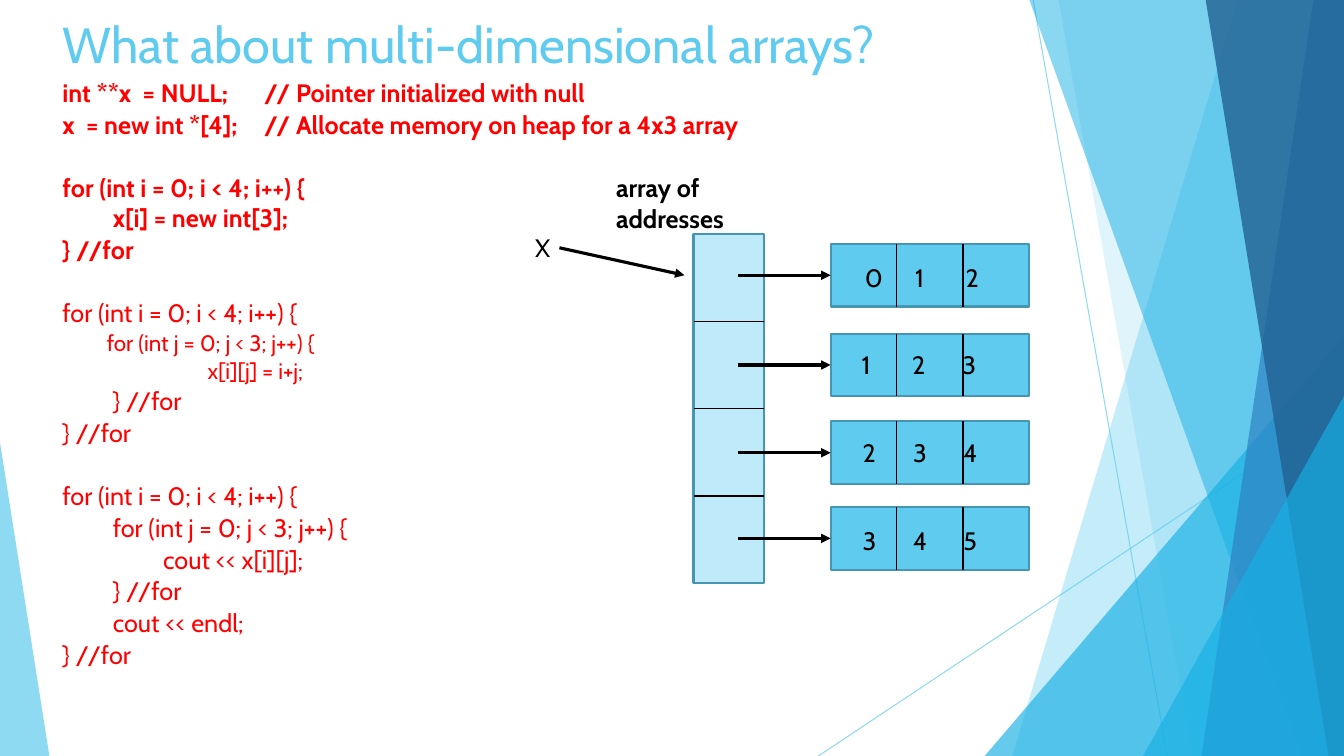
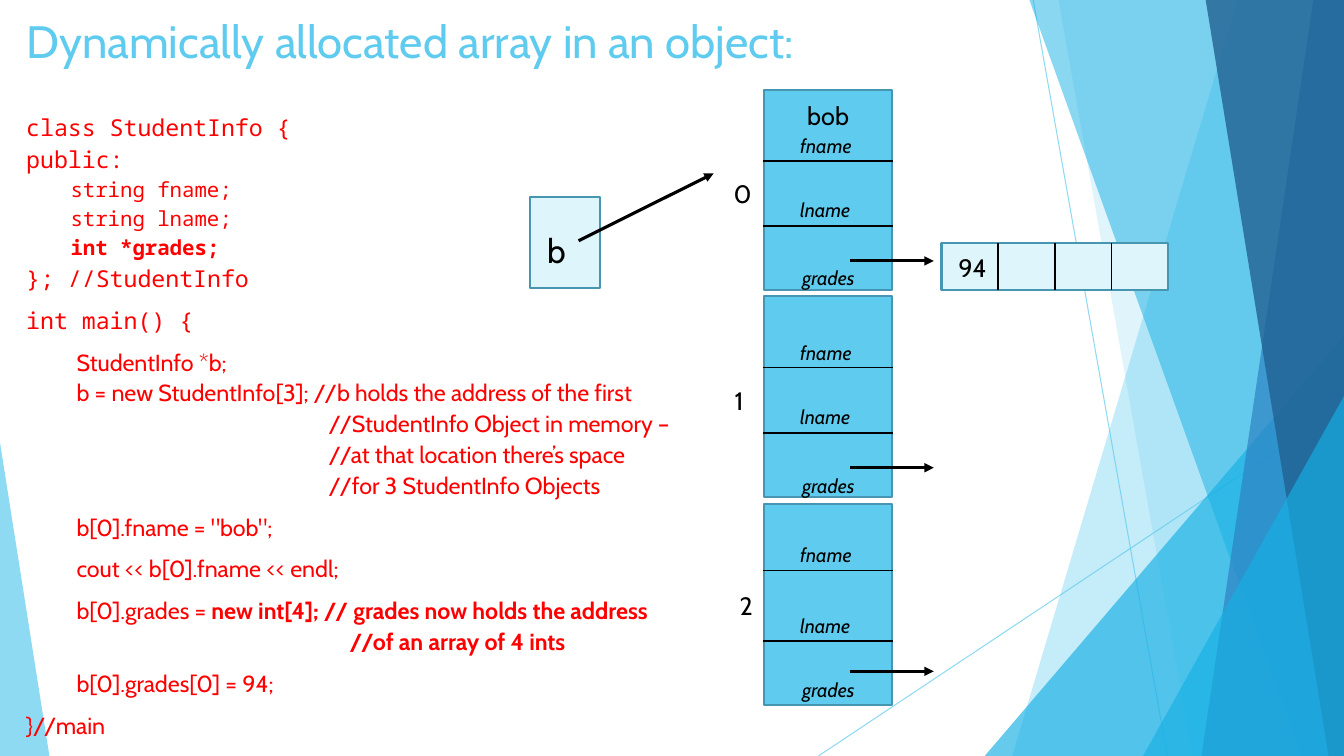
"""Build two slides on dynamically allocated arrays in C++."""
from lxml.etree import SubElement
from pptx import Presentation
from pptx.dml.color import RGBColor
from pptx.enum.shapes import MSO_CONNECTOR as Connector, MSO_SHAPE as Preset
from pptx.enum.text import MSO_ANCHOR as Anchor, MSO_AUTO_SIZE as AutoSize, PP_ALIGN as Align
from pptx.oxml.ns import qn
from pptx.util import Pt

WIDTH, HEIGHT = 960, 540
SKY, CYAN, BLUE, NAVY = "5FCBEF", "17B0E4", "2E83C3", "226292"
PALE, MIST, EDGE, BLACK, RED = "BFEAF9", "DFF5FC", "4696B1", "000000", "FF0000"
LABEL = {"name": "Cabin", "size": Pt(18), "color": BLACK}
FIELD = {**LABEL, "size": Pt(14), "italic": True}
TITLE = {"name": "Cabin", "color": SKY}
CODE = {"name": "Cabin", "size": Pt(18), "color": RED, "bold": False}
BOLD, SMALL = {"bold": True}, {"size": Pt(16)}
MONO = {"name": "Noto Sans Mono"}
MONO_SMALL = {**MONO, "size": Pt(14.8)}

RAYS = [((738, 0), (833.8, HEIGHT)), ((WIDTH, 290.2), (584.6, HEIGHT))]
FACETS = [
    ("band", (884.2, 723), SKY, 36),
    ("band", (756, 851.8), SKY, 20),
    ("triangle", (703.4, 239.8, 256.6, 300.2, 1), CYAN, 66),
    ("band", (735.1, 929.5), CYAN, 50),
    ("band", (938.2, 858.2), BLUE, 70),
    ("band", (861.1, 949), NAVY, 80),
    ("triangle", (816.5, 283, 143.5, 257, 1), CYAN, 66),
    ("triangle", (0, 316.1, 35.3, 223.9, 0), SKY, 70),
]

NEXT, GAP, INDENT = 1, 23.6, 31.7
LOOP_I, LOOP_J = "for (int i = 0; i < 4; i++) {", "for (int j = 0; j < 3; j++) {"
MATRIX_CODE = [
    ("int **x  = NULL;\t// Pointer initialized with null", BOLD, 0, 0),
    ("x  = new int *[4];\t// Allocate memory on heap for a 4x3 array", BOLD, NEXT, 0),
    (LOOP_I, BOLD, GAP, 0),
    ("\tx[i] = new int[3];", BOLD, 0, 0),
    ("} //for", BOLD, NEXT, 0),
    (LOOP_I, {}, GAP, 0),
    (LOOP_J, SMALL, NEXT, INDENT),
    ("\t\tx[i][j] = i+j;", SMALL, NEXT, INDENT),
    ("\t} //for", {}, NEXT, 0),
    ("} //for", {}, NEXT, 0),
    (LOOP_I, {}, GAP, 0),
    ("\t" + LOOP_J, {}, NEXT, 0),
    ("\t\tcout << x[i][j];", {}, NEXT, 0),
    ("\t} //for", {}, NEXT, 0),
    ("\tcout << endl;", {}, NEXT, 0),
    ("} //for", {}, NEXT, 0),
]
OBJECT_CODE = [
    ("class StudentInfo {", MONO, 0, 0),
    ("public:", MONO, 3, 0),
    ("string fname;", MONO_SMALL, 3, INDENT),
    ("string lname;", MONO_SMALL, 3, INDENT),
    ("int *grades;", {**MONO_SMALL, **BOLD}, 3, INDENT),
    ("}; //StudentInfo", MONO, 3, 0),
    ("int main() {", MONO, 10, 0),
    ("\tStudentInfo *b;", {}, 10, 0),
    ("\tb = new StudentInfo[3]; //b holds the address of the first", {}, 2, 0),
    ("//StudentInfo Object in memory –", {}, 2, 216),
    ("//at that location there’s space", {}, 2, 216),
    ("//for 3 StudentInfo Objects", {}, 2, 216),
    ("\tb[0].fname = \"bob\";", {}, 10, 0),
    ("\tcout << b[0].fname << endl;", {}, 10, 0),
    ([("\tb[0].grades = ", {}), ("new int[4]; // grades now holds the address", BOLD)], {}, 10, 0),
    ("//of an array of 4 ints", BOLD, 2, 231),
    ("\tb[0].grades[0] = 94;", {}, 10, 0),
    ("}//main", {}, 10, 0),
]
MATRIX_ROWS = [(174.2, 610.6), (238.3, 608.4), (301, 609.1), (362.2, 609.1)]
RECORDS = [
    {"index": (516.9, 123.8), "top": 64, "rules": (51, 97.5), "fields": (28, 74, 122.4), "arrow": 122.4},
    {"index": (517.7, 271.4), "top": 211.7, "rules": (51, 97.5), "fields": (28, 74, 123), "arrow": 122.4},
    {"index": (521.3, 418.3), "top": 360, "rules": (47.5, 98), "fields": (24.5, 75, 121), "arrow": 119.5},
]


def colour(code):
    return RGBColor.from_string(code)


def set_alpha(shape, percent):
    for node in shape.element.iter(qn("a:srgbClr")):
        SubElement(node, qn("a:alpha"), val=str(percent * 1000))


def add_line(slide, start, end, width=1, code=BLACK, arrow=False):
    line = slide.shapes.add_connector(Connector.STRAIGHT, *map(Pt, (*start, *end)))
    line.line.width = Pt(width)
    line.line.color.rgb = colour(code)
    if arrow:
        SubElement(line.line._get_or_add_ln(), qn("a:tailEnd"), type="triangle")
    SubElement(line.element.spPr, qn("a:effectLst"))
    return line


def add_arrow(slide, start, end):
    add_line(slide, start, end, width=2.25, arrow=True)


def paint(shape, code, edge=None):
    shape.shadow.inherit = False
    shape.fill.solid()
    shape.fill.fore_color.rgb = colour(code)
    if edge:
        shape.line.color.rgb = colour(edge)
        shape.line.width = Pt(1.5)
    else:
        shape.line.fill.background()


def add_box(slide, place, code):
    paint(slide.shapes.add_shape(Preset.RECTANGLE, *map(Pt, place)), code, EDGE)


def add_cells(slide, place, code, count):
    left, top, width, height = place
    add_box(slide, place, code)
    for step in range(1, count):
        x = left + width * step / count
        add_line(slide, (x, top), (x, top + height))


def write(para, spans, style, before=0, margin=0):
    para.alignment = Align.LEFT
    para.space_before = Pt(before)
    props = para._p.get_or_add_pPr()
    props.set("marL", str(Pt(margin)))
    props.set("indent", "0")
    SubElement(props, qn("a:buNone"))
    for text, extra in [(spans, {})] if isinstance(spans, str) else spans:
        span = para.add_run()
        span.text = text
        for key, value in {**style, **extra}.items():
            if key == "color":
                span.font.color.rgb = colour(value)
            else:
                setattr(span.font, key, value)


def write_all(frame, paras):
    for number, (spans, style, before, margin) in enumerate(paras):
        para = frame.add_paragraph() if number else frame.paragraphs[0]
        write(para, spans, style, before, margin)


def add_label(slide, place, text, style=LABEL, wrap=False):
    frame = slide.shapes.add_textbox(*map(Pt, place)).text_frame
    frame.word_wrap = wrap
    write_all(frame, [(line, style, 0, 0) for line in text.split("\n")])


def fill_placeholder(shape, place, paras):
    shape.left, shape.top, shape.width, shape.height = map(Pt, place)
    frame = shape.text_frame
    frame.auto_size = AutoSize.NONE
    frame.word_wrap = True
    frame.vertical_anchor = Anchor.TOP
    write_all(frame, paras)


def add_code_slide(deck, title, title_place, title_size, code, code_place, code_size):
    slide = deck.slides.add_slide(deck.slide_layouts[1])
    heading = [(title, {**TITLE, "size": Pt(title_size)}, 0, 0)]
    fill_placeholder(slide.shapes.title, title_place, heading)
    base = {**CODE, "size": Pt(code_size)}
    paras = [(spans, {**base, **style}, before, margin) for spans, style, before, margin in code]
    fill_placeholder(slide.placeholders[1], code_place, paras)
    return slide


def decorate_layout(deck, slide):
    decor = []
    for start, end in RAYS:
        ray = add_line(slide, start, end, 0.75, SKY)
        set_alpha(ray, 70)
        decor.append(ray)
    for kind, place, code, alpha in FACETS:
        if kind == "band":
            top_x, bottom_x = place
            corners = [(top_x, -0.6), (WIDTH, -0.6), (WIDTH, HEIGHT), (bottom_x, HEIGHT)]
            points = [(Pt(x), Pt(y)) for x, y in corners]
            builder = slide.shapes.build_freeform(*points[0])
            builder.add_line_segments(points[1:], close=True)
            facet = builder.convert_to_shape()
        else:
            facet = slide.shapes.add_shape(Preset.ISOSCELES_TRIANGLE, *map(Pt, place[:4]))
            facet.adjustments[0] = place[4]
        paint(facet, code)
        set_alpha(facet, alpha)
        decor.append(facet)
    tree = deck.slide_layouts[1].shapes.element
    for position, shape in enumerate(decor, start=2):
        tree.insert(position, shape.element)


def draw_matrix(slide):
    left, top, width, height = column = (495.4, 167, 50.4, 249.8)
    add_label(slide, (433, 119.8, 100, 51), "array of\naddresses", {**LABEL, **BOLD}, wrap=True)
    add_box(slide, column, PALE)
    for step in range(1, 4):
        y = top + height * step / 4
        add_line(slide, (left, y), (left + width, y))
    for row, (row_top, text_left) in enumerate(MATRIX_ROWS):
        add_cells(slide, (593.3, row_top, 141.8, 44.8), SKY, 3)
        add_arrow(slide, (527, row_top + 22.4), (593.3, row_top + 22.4))
        numbers = "\t".join(str(row + item) for item in range(3))
        add_label(slide, (text_left, 183.6 + 62.64 * row, 118, 29), numbers, wrap=True)
    add_label(slide, (375.1, 162.7, 24.5, 29), "X")
    add_arrow(slide, (399.6, 177), (488.9, 196.6))


def draw_objects(slide):
    add_box(slide, (378.7, 140.4, 49.7, 65.5), MIST)
    add_label(slide, (383.8, 160.6, 28, 36), "b", {**LABEL, "size": Pt(24)})
    for number, record in enumerate(RECORDS):
        top = record["top"]
        add_box(slide, (546, top, 91.4, 143.3), SKY)
        for rule in record["rules"]:
            add_line(slide, (545.2, top + rule), (638, top + rule))
        for name, offset in zip(("fname", "lname", "grades"), record["fields"]):
            left, width = (566, 56.2) if name == "grades" else (564.5, 54)
            add_label(slide, (left, top + offset, width, 24.5), name, FIELD)
        add_label(slide, (*record["index"], 24.5, 29), str(number))
        y = top + record["arrow"]
        add_arrow(slide, (607, y), (667, y))
    add_label(slide, (569.5, 68.4, 87, 29), "bob", wrap=True)
    add_arrow(slide, (413.3, 172), (509.8, 123.8))
    add_cells(slide, (672.5, 173.5, 162, 33.8), MIST, 4)
    add_label(slide, (677.5, 177, 36, 29), "94", wrap=True)


def main():
    deck = Presentation()
    deck.slide_width, deck.slide_height = Pt(WIDTH), Pt(HEIGHT)
    matrix = add_code_slide(deck, "What about multi-dimensional arrays?", (37.4, 5.8, 676.8, 56.2), 36,
                            MATRIX_CODE, (37.4, 51.8, 564.5, 480.2), 18)
    decorate_layout(deck, matrix)
    draw_matrix(matrix)
    objects = add_code_slide(deck, "Dynamically allocated array in an object:", (11.5, 5.8, 676.8, 54), 32.4,
                             OBJECT_CODE, (11.5, 77, 511.2, 393.8), 16.6)
    draw_objects(objects)
    deck.save("out.pptx")


if __name__ == "__main__":
    main()
